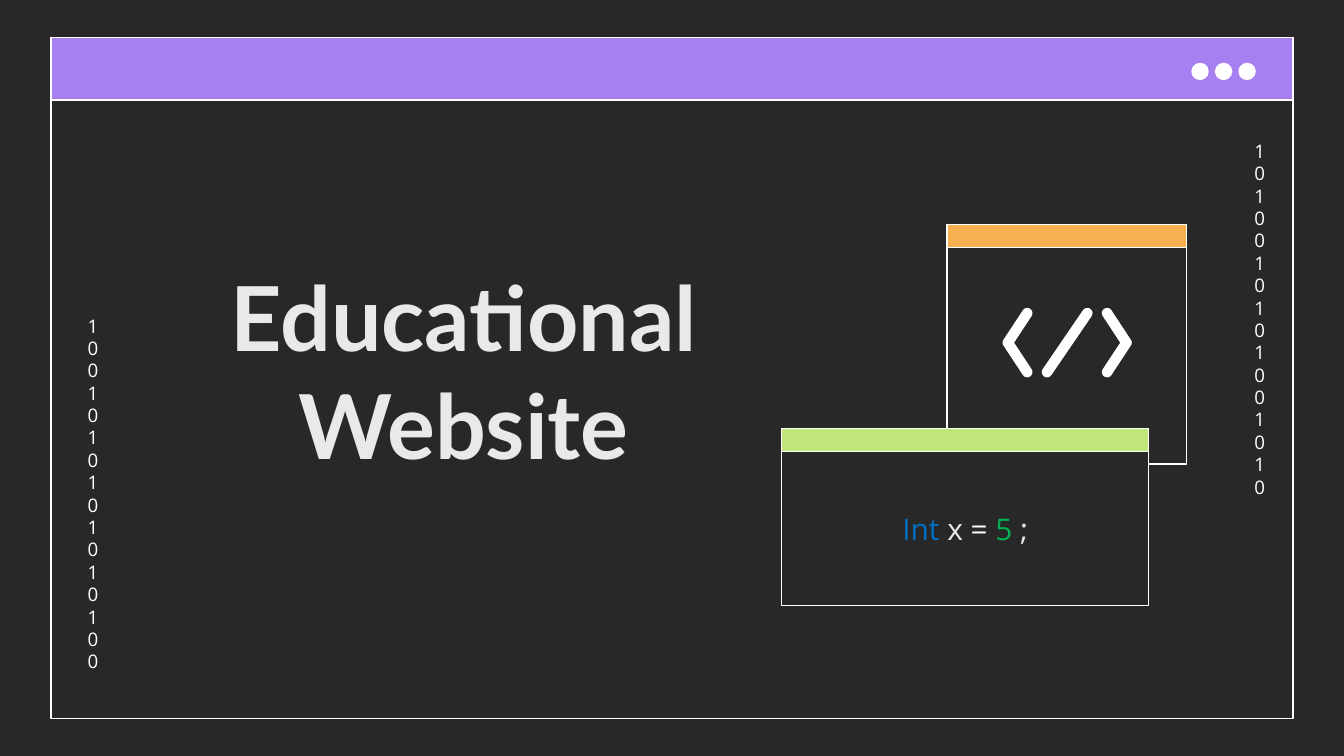
from math import atan2, cos, degrees, radians, sin

from pptx import Presentation
from pptx.dml.color import RGBColor
from pptx.enum.shapes import MSO_SHAPE
from pptx.enum.text import MSO_ANCHOR, PP_ALIGN
from pptx.util import Pt

RECTANGLE, OVAL = MSO_SHAPE.RECTANGLE, MSO_SHAPE.OVAL
TOP, MIDDLE, BOTTOM = MSO_ANCHOR.TOP, MSO_ANCHOR.MIDDLE, MSO_ANCHOR.BOTTOM
CENTER = PP_ALIGN.CENTER

DARK = RGBColor(0x29, 0x28, 0x28)
WHITE = RGBColor(0xFF, 0xFF, 0xFF)
PALE = RGBColor(0xEA, 0xE9, 0xE9)
PURPLE = RGBColor(0xA6, 0x7F, 0xF1)
ORANGE = RGBColor(0xF5, 0xB1, 0x50)
LIME = RGBColor(0xC0, 0xE6, 0x7A)
BLUE = RGBColor(0x00, 0x70, 0xC0)
GREEN = RGBColor(0x00, 0xB0, 0x50)

TITLE_FONT, CODE_FONT = "Lato", "Open Sans"


def add_outlined(slide, kind, left, top, width, height, fill=None):
    shape = slide.shapes.add_shape(kind, Pt(left), Pt(top), Pt(width), Pt(height))
    shape.shadow.inherit = False
    if fill is None:
        shape.fill.background()
    else:
        shape.fill.solid()
        shape.fill.fore_color.rgb = fill
    shape.line.color.rgb = WHITE
    shape.line.width = Pt(0.75)
    return shape


def write_text(shape, runs, font, size, bold=False, anchor=MIDDLE, spacing=None):
    """Fill a shape with one centred paragraph of (text, colour) runs."""
    frame = shape.text_frame
    frame.word_wrap = True
    frame.vertical_anchor = anchor
    frame.margin_left = frame.margin_right = Pt(7.2)
    frame.margin_top = frame.margin_bottom = Pt(7.2)
    paragraph = frame.paragraphs[0]
    paragraph.alignment = CENTER
    if spacing:
        paragraph.line_spacing = Pt(spacing)
    for text, color in runs:
        run = paragraph.add_run()
        run.text = text
        run.font.name = font
        run.font.size = Pt(size)
        run.font.bold = bold
        run.font.color.rgb = color


def add_text(slide, left, top, width, height, runs, **text_format):
    box = slide.shapes.add_textbox(Pt(left), Pt(top), Pt(width), Pt(height))
    write_text(box, runs, **text_format)


def add_window(slide, left, top, width, height, bar_height, bar_color, fill=None):
    """Draw a window body with a coloured bar across its top."""
    body = add_outlined(slide, RECTANGLE, left, top, width, height, fill)
    add_outlined(slide, RECTANGLE, left, top, width, bar_height, bar_color)
    return body


def arc(x, y, radius, start, end, steps=10):
    angles = [radians(start + (end - start) * i / steps) for i in range(steps + 1)]
    return [(x + radius * cos(a), y + radius * sin(a)) for a in angles]


def add_code_icon(slide, center_x, center_y):
    """Draw </> as one freeform with rounded strokes."""
    radius, half_height = 2.8, 15.8
    tip_x, vertex_x, slash_x = 21.4, 31.8, 10.8

    # Right chevron; the left one mirrors it
    slope = atan2(half_height, vertex_x - tip_x)
    lean = degrees(slope)
    chevron = (
        arc(tip_x, -half_height, radius, lean + 90, lean + 270)
        + arc(vertex_x, 0, radius, lean - 90, 90 - lean)
        + arc(tip_x, half_height, radius, 90 - lean, 270 - lean)
        + [(vertex_x - radius / sin(slope), 0)]
    )
    mirrored = [(-x, y) for x, y in chevron]

    # Slash
    rise = degrees(atan2(-half_height, slash_x))
    slash = (arc(slash_x, -half_height, radius, rise - 90, rise + 90)
             + arc(-slash_x, half_height, radius, rise + 90, rise + 270))

    builder = None
    for outline in (mirrored, slash, chevron):
        points = [(Pt(center_x + x), Pt(center_y + y)) for x, y in outline]
        if builder is None:
            builder = slide.shapes.build_freeform(*points[0])
        else:
            builder.move_to(*points[0])
        builder.add_line_segments(points[1:], close=True)
    icon = builder.convert_to_shape()
    icon.shadow.inherit = False
    icon.fill.solid()
    icon.fill.fore_color.rgb = WHITE
    icon.line.fill.background()


def main():
    prs = Presentation()
    prs.slide_width, prs.slide_height = Pt(720), Pt(405)
    slide = prs.slides.add_slide(prs.slide_layouts[6])
    slide.background.fill.solid()
    slide.background.fill.fore_color.rgb = DARK

    # Browser frame with its three dots
    add_window(slide, 27.3, 20.2, 665.4, 364.7, 33.5, PURPLE)
    for i in range(3):
        add_outlined(slide, OVAL, 638.6 + 12.6 * i, 34, 8.6, 8.6, WHITE)

    # Binary columns, one digit per line
    for left, top, digits in ((664.9, 67.7, "1010010101001010"),
                              (39.9, 161.3, "1001010101010100")):
        add_text(slide, left, top, 17.3, 201.6, [(digits, WHITE)],
                 font=CODE_FONT, size=10, anchor=TOP, spacing=12)

    # Title
    add_text(slide, 97.9, 104.4, 301, 158.4, [("Educational Website", PALE)],
             font=TITLE_FONT, size=48, bold=True, anchor=BOTTOM)

    # Icon window
    add_window(slide, 507.4, 120.4, 128.2, 128.2, 12.4, ORANGE)
    add_code_icon(slide, 571.7, 183.6)

    # Code window
    add_window(slide, 418.8, 229.7, 196.6, 94.6, 12.4, LIME, fill=DARK)
    add_text(slide, 418.8, 242.1, 196.6, 82.2,
             [("Int ", BLUE), ("x", PALE), (" = ", WHITE), ("5 ", GREEN), (";", PALE)],
             font=CODE_FONT, size=16)

    prs.save("out.pptx")


if __name__ == "__main__":
    main()
